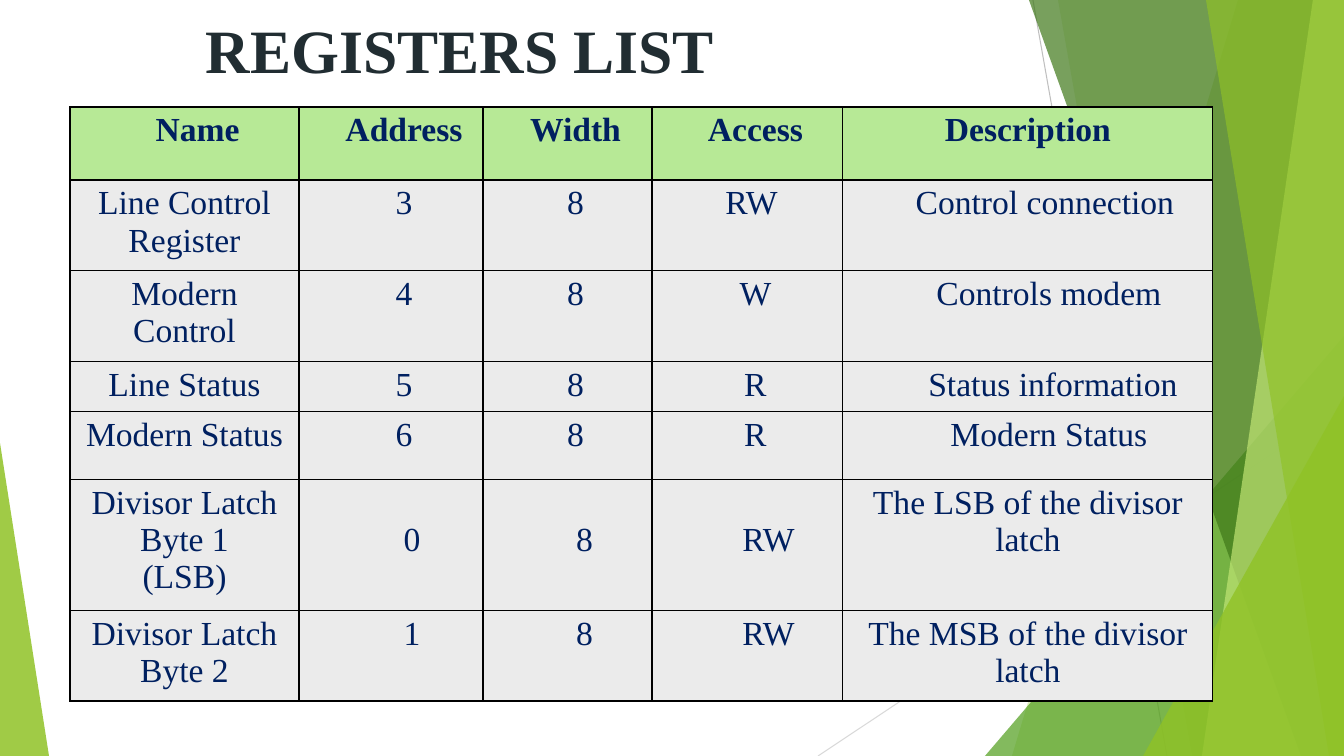
import dataclasses
import pptx
import pptx.dml.color
import pptx.enum.shapes
import pptx.enum.text
import pptx.oxml
import pptx.oxml.ns
import pptx.util

UNIT = 12192000 / 1344
WIDE, HIGH = 1344, 756


def px(n):
    return pptx.util.Emu(round(n * UNIT))


@dataclasses.dataclass(frozen=True)
class Theme:
    font: str = "Times New Roman"
    title: int = 44
    body: int = 24
    ink: str = "212D32"
    navy: str = "002060"
    head: str = "B7E996"
    cell: str = "EBEBEB"
    edge: str = "000000"
    lime: str = "90C226"
    leaf: str = "54A021"
    moss: str = "3F7819"
    pale: str = "C0E474"
    gray: str = "BFBFBF"
    mist: str = "D9D9D9"


class Deck:
    def __init__(self, theme):
        self.theme = theme
        self.show = pptx.Presentation()
        self.show.slide_width, self.show.slide_height = px(WIDE), px(HIGH)
        self.slide = self.show.slides.add_slide(self.show.slide_layouts[6])
        self.shapes = self.slide.shapes

    def rgb(self, name):
        return pptx.dml.color.RGBColor.from_string(getattr(self.theme, name))

    def node(self, root, tag, **attrs):
        item = pptx.oxml.ns.qn(tag)
        child = root.makeelement(item, attrs)
        root.append(child)
        return child

    def line(self, start, end, color):
        kind = pptx.enum.shapes.MSO_CONNECTOR.STRAIGHT
        wire = self.shapes.add_connector(kind, *map(px, start + end))
        wire.line.color.rgb = self.rgb(color)
        wire.line.width = pptx.util.Pt(0.75)
        self.node(wire._element.spPr, "a:effectLst")

    def paint(self, shape, color, alpha):
        shape.shadow.inherit = False
        shape.line.fill.background()
        shape.fill.solid()
        shape.fill.fore_color.rgb = self.rgb(color)
        tint = shape._element.spPr.find(".//" + pptx.oxml.ns.qn("a:srgbClr"))
        self.node(tint, "a:alpha", val=str(alpha * 1000))

    def shard(self, top, base, color, alpha):
        path = self.shapes.build_freeform(px(top), 0)
        points = [(WIDE, 0), (WIDE, HIGH), (base, HIGH)]
        path.add_line_segments([(px(x), px(y)) for x, y in points])
        self.paint(path.convert_to_shape(), color, alpha)

    def peak(self, left, top, width, tip, color, alpha):
        kind = pptx.enum.shapes.MSO_SHAPE.ISOSCELES_TRIANGLE
        box = map(px, (left, top, width, HIGH - top))
        shape = self.shapes.add_shape(kind, *box)
        shape.adjustments[0] = tip
        self.paint(shape, color, alpha)

    def style(self, para, size, color, bold):
        font = para.font
        font.name, font.size, font.bold = self.theme.font, pptx.util.Pt(size), bold
        font.color.rgb = self.rgb(color)

    def title(self, text, box):
        frame = self.shapes.add_textbox(*map(px, box)).text_frame
        frame.word_wrap = True
        frame.margin_top = px(12)
        frame.text = text
        self.style(frame.paragraphs[0], self.theme.title, "ink", True)

    def border(self, cell):
        props = cell._tc.get_or_add_tcPr()
        for side in ("L", "R", "T", "B"):
            edge = self.node(props, "a:ln" + side, w=str(pptx.util.Pt(1)))
            fill = self.node(edge, "a:solidFill")
            self.node(fill, "a:srgbClr", val=self.theme.edge)

    def fill(self, cell, text, shift, drop, head):
        self.border(cell)
        cell.fill.solid()
        cell.fill.fore_color.rgb = self.rgb("head" if head else "cell")
        cell.margin_left, cell.margin_right = px(10 + 2 * shift), px(10)
        cell.margin_top, cell.margin_bottom = px(5 + drop), px(5)
        cell.text = text
        for para in cell.text_frame.paragraphs:
            para.alignment = pptx.enum.text.PP_ALIGN.CENTER
            self.style(para, self.theme.body, "navy", head)

    def table(self, left, top, cols, rows, data, shifts, drops):
        box = map(px, (left, top, sum(cols), sum(rows)))
        table = self.shapes.add_table(len(rows), len(cols), *box).table
        table.horz_banding = False
        for col, width in zip(table.columns, cols):
            col.width = px(width)
        for row, height in zip(table.rows, rows):
            row.height = px(height)
        for r, texts in enumerate(data):
            for c, text in enumerate(texts):
                drop = drops.get(r, 0) if 0 < c < len(cols) - 1 else 0
                self.fill(table.cell(r, c), text, shifts[r][c], drop, r == 0)


DATA = [
    ("Name", "Address", "Width", "Access", "Description"),
    ("Line Control Register", "3", "8", "RW", "Control connection"),
    ("Modern Control", "4", "8", "W", "Controls modem"),
    ("Line Status", "5", "8", "R", "Status information"),
    ("Modern Status", "6", "8", "R", "Modern Status"),
    ("Divisor Latch Byte 1\n(LSB)", "0", "8", "RW", "The LSB of the divisor\nlatch"),
    ("Divisor Latch Byte 2", "1", "8", "RW", "The MSB of the divisor latch"),
]
SHIFTS = [
    (13, 13, 8, 8, 0),
    (0, 13, 8, 4, 17),
    (0, 13, 8, 8, 21),
    (0, 13, 8, 8, 25),
    (0, 13, 8, 8, 21),
    (0, 21, 17, 21, 0),
    (0, 21, 17, 21, 0),
]


def main():
    deck = Deck(Theme())
    deck.line((1033, 0), (1167, HIGH), "gray")
    deck.line((WIDE, 406), (818, HIGH), "mist")
    deck.shard(1238, 1012, "lime", 30)
    deck.shard(1058, 1192, "lime", 20)
    deck.peak(985, 336, 359, 1, "leaf", 72)
    deck.shard(1029, 1301, "moss", 70)
    deck.shard(1313, 1202, "pale", 70)
    deck.shard(1206, 1329, "lime", 65)
    deck.peak(1143, 396, 201, 1, "lime", 80)
    deck.peak(0, 443, 49, 0, "lime", 85)
    deck.title("REGISTERS LIST", (196, 0, 983, 141))
    cols = (229, 184, 169, 191, 370)
    rows = (73, 88, 85, 50, 68, 121, 85)
    deck.table(70, 107, cols, rows, DATA, SHIFTS, {5: 37})
    deck.show.save("out.pptx")


if __name__ == "__main__":
    main()
